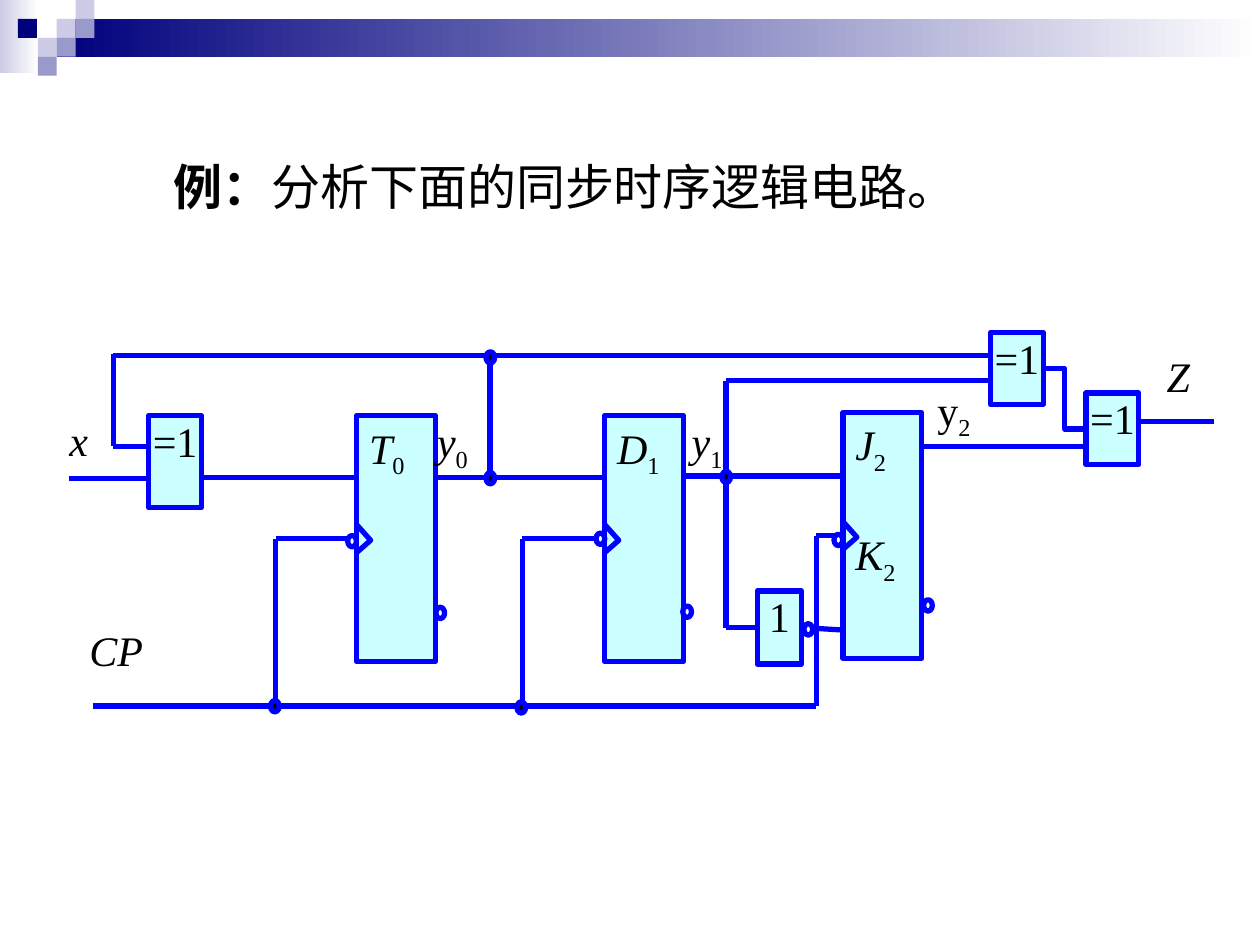
import pptx
import pptx.util
import pptx.dml.color
import pptx.enum.shapes
import pptx.enum.text
import pptx.oxml

Pt = pptx.util.Pt
RGBColor = pptx.dml.color.RGBColor
SHAPE = pptx.enum.shapes.MSO_SHAPE
CONNECTOR = pptx.enum.shapes.MSO_CONNECTOR
ALIGN = pptx.enum.text.PP_ALIGN
ANCHOR = pptx.enum.text.MSO_ANCHOR

BLACK = RGBColor(0x00, 0x00, 0x00)
WHITE = RGBColor(0xFF, 0xFF, 0xFF)
BLUE = RGBColor(0x00, 0x00, 0xFF)
CYAN = RGBColor(0xCC, 0xFF, 0xFF)
NAVY = RGBColor(0x00, 0x00, 0x7D)
LILAC = RGBColor(0xCC, 0xCC, 0xE6)
VIOLET = RGBColor(0x99, 0x99, 0xCC)

FONT = "Times New Roman"
LINE_WIDTH = 3
TILE = 10.8
DOT_WIDTH, DOT_HEIGHT = 5, 6.5
FLIP_FLOP_WIDTH, FLIP_FLOP_HEIGHT = 45, 140.4
TOP, LEFT, RIGHT = 0, 1, 3  # connection sites of a rectangle


def add_span(para, text, size=24, bold=False, italic=False, subscript=False):
    span = para.add_run()
    span.text = text
    span.font.name, span.font.size = FONT, Pt(size)
    span.font.bold, span.font.italic = bold, italic
    span.font.color.rgb = BLACK
    if subscript:
        span.font._rPr.set("baseline", "-25000")


def add_symbol(para, name, index="", italic=True):
    add_span(para, name, italic=italic)
    if index:
        add_span(para, index, subscript=True)


def set_frame(frame, side=0, end=0, anchor=ANCHOR.TOP, wrap=True):
    frame.margin_left = frame.margin_right = Pt(side)
    frame.margin_top = frame.margin_bottom = Pt(end)
    frame.vertical_anchor = anchor
    frame.word_wrap = wrap


def add_plain(slide, kind, left, top, width, height, fill, outlined=True):
    shape = slide.shapes.add_shape(kind, Pt(left), Pt(top), Pt(width), Pt(height))
    shape.shadow.inherit = False
    shape.fill.solid()
    shape.fill.fore_color.rgb = fill
    if outlined:
        shape.line.color.rgb = BLUE
        shape.line.width = Pt(LINE_WIDTH)
    else:
        shape.line.fill.background()
    return shape


def add_fade(slide, left, top, width, height, start):
    band = add_plain(slide, SHAPE.RECTANGLE, left, top, width, height, start, False)
    band.fill.gradient()
    band.fill.gradient_angle = 0
    for stop, position, color in zip(band.fill.gradient_stops, (0, 1), (start, WHITE)):
        stop.position = position
        stop.color.rgb = color


def add_gate(slide, left, top, width, height, text):
    gate = add_plain(slide, SHAPE.RECTANGLE, left, top, width, height, CYAN)
    set_frame(gate.text_frame)
    para = gate.text_frame.paragraphs[0]
    para.alignment = ALIGN.CENTER
    add_span(para, text)
    return gate


def add_flip_flop(slide, left, top, inputs):
    box = add_plain(slide, SHAPE.RECTANGLE, left, top,
                    FLIP_FLOP_WIDTH, FLIP_FLOP_HEIGHT, CYAN)
    frame = box.text_frame
    set_frame(frame, 7.2, 3.6)
    for number, (name, index) in enumerate(inputs):
        para = frame.add_paragraph() if number else frame.paragraphs[0]
        para.alignment = ALIGN.JUSTIFY
        if number:
            para.space_before = Pt(30)
        add_symbol(para, name, index)

    # Clock wedge on the left side
    middle = top + FLIP_FLOP_HEIGHT / 2
    builder = slide.shapes.build_freeform(Pt(left), Pt(middle - 8))
    builder.add_line_segments([(Pt(left + 8), Pt(middle + 1)),
                               (Pt(left), Pt(middle + 8))], close=False)
    wedge = builder.convert_to_shape()
    wedge.shadow.inherit = False
    wedge.fill.background()
    wedge.line.color.rgb = BLUE
    wedge.line.width = Pt(LINE_WIDTH)
    return box


def add_wire(slide, x1, y1, x2, y2, begin=None, end=None, kind=CONNECTOR.STRAIGHT):
    wire = slide.shapes.add_connector(kind, Pt(x1), Pt(y1), Pt(x2), Pt(y2))
    wire.line.color.rgb = BLUE
    wire.line.width = Pt(LINE_WIDTH)
    wire._element.spPr.append(pptx.oxml.parse_xml(
        '<a:effectLst xmlns:a="http://schemas.openxmlformats.org/drawingml/2006/main"/>'))
    if begin is not None:
        wire.begin_connect(begin, RIGHT)
    if end is not None:
        wire.end_connect(end, LEFT)


def add_label(slide, left, top, width, name, index="", italic=True):
    box = slide.shapes.add_textbox(Pt(left), Pt(top), Pt(width), Pt(35))
    set_frame(box.text_frame)
    add_symbol(box.text_frame.paragraphs[0], name, index, italic)


def add_banner(slide):
    add_fade(slide, 0, 0, 22, 42, LILAC)
    add_fade(slide, 3 * TILE, TILE, 720 - 3 * TILE, 2 * TILE, NAVY)
    tiles = [(3, 1, LILAC), (4, 0, LILAC), (4, 1, VIOLET), (2, 2, LILAC),
             (0.95, 1, NAVY), (3, 2, VIOLET), (2, 3, VIOLET)]
    for column, row, color in tiles:
        add_plain(slide, SHAPE.RECTANGLE, column * TILE, row * TILE,
                  TILE, TILE, color, False)


def add_title(slide):
    title = slide.shapes.title
    title.left, title.top, title.width, title.height = Pt(92), Pt(85.7), Pt(468), Pt(41)
    set_frame(title.text_frame, 7.2, 3.6, ANCHOR.MIDDLE, False)
    para = title.text_frame.paragraphs[0]
    para.alignment = ALIGN.LEFT
    add_span(para, "例：", 28, bold=True)
    add_span(para, "分析下面的同步时序逻辑电路。", 28)


def add_circuit(slide):
    # Flip-flops and gates
    flip_t = add_flip_flop(slide, 203.8, 237.6, [("T", "0")])
    flip_d = add_flip_flop(slide, 345.6, 237.6, [("D", "1")])
    flip_jk = add_flip_flop(slide, 481.7, 235.8, [("J", "2"), ("K", "2")])
    add_gate(slide, 85, 237.6, 30.2, 52.6, "=1")
    inverter = add_gate(slide, 432.7, 337.7, 25.2, 41.8, "1")
    inner_xor = add_gate(slide, 566, 190, 30.2, 41, "=1")
    output_xor = add_gate(slide, 620.6, 224.6, 30.2, 41, "=1")

    # Signal wires
    for ends in [(39.6, 273.6, 84.5, 273.6), (64.8, 255, 85.5, 255),
                 (64.8, 202.5, 64.8, 255), (64.8, 203, 566, 203),
                 (115.2, 273, 203.8, 273), (249.5, 273, 345.6, 273),
                 (280, 203.8, 280, 273.6), (390.5, 272, 481.5, 272),
                 (415, 217.5, 566, 217.5), (414.8, 217.5, 414.8, 358.6),
                 (527, 255, 620, 255), (651.5, 240.7, 694, 240.7)]:
        add_wire(slide, *ends)
    add_wire(slide, 415, 358.6, 432.7, 358.6, end=inverter)
    add_wire(slide, 457.9, 358.6, 481.5, 360, begin=inverter)
    add_wire(slide, 596.2, 210.5, 620.6, 245, inner_xor, output_xor, CONNECTOR.ELBOW)

    # Clock line and its branches
    add_wire(slide, 53, 403.4, 466.5, 403.4)
    for x, flip_flop in [(157.5, flip_t), (298.4, flip_d), (466.5, flip_jk)]:
        middle = (flip_flop.top + flip_flop.height / 2) / Pt(1)
        add_wire(slide, x, middle, x, 403.4)
        add_wire(slide, x, middle, flip_flop.left / Pt(1), middle, end=flip_flop)

    # Junction dots and inversion bubbles
    junctions = [(277.7, 270), (277.7, 201), (154.6, 400.3), (295.4, 401), (412.5, 269.3)]
    bubbles = [(198.7, 306), (340.6, 304.6), (476.6, 305.3), (249.1, 347),
               (390.2, 346.3), (527.8, 342.7), (459.4, 356.4)]
    for color, places in [(BLACK, junctions), (WHITE, bubbles)]:
        for left, top in places:
            add_plain(slide, SHAPE.OVAL, left, top, DOT_WIDTH, DOT_HEIGHT, color)

    # Signal names
    add_label(slide, 39.6, 237, 15, "x")
    add_label(slide, 249.8, 237.6, 30, "y", "0")
    add_label(slide, 395.3, 237.6, 30, "y", "1")
    add_label(slide, 535.7, 219.6, 30, "y", "2", italic=False)
    add_label(slide, 666.7, 200.2, 30, "Z")
    add_label(slide, 51.1, 357, 81, "CP")


def main():
    deck = pptx.Presentation()
    deck.slide_width, deck.slide_height = Pt(720), Pt(540)
    slide = deck.slides.add_slide(deck.slide_layouts[5])
    add_banner(slide)
    add_title(slide)
    add_circuit(slide)
    deck.save("out.pptx")


if __name__ == "__main__":
    main()
